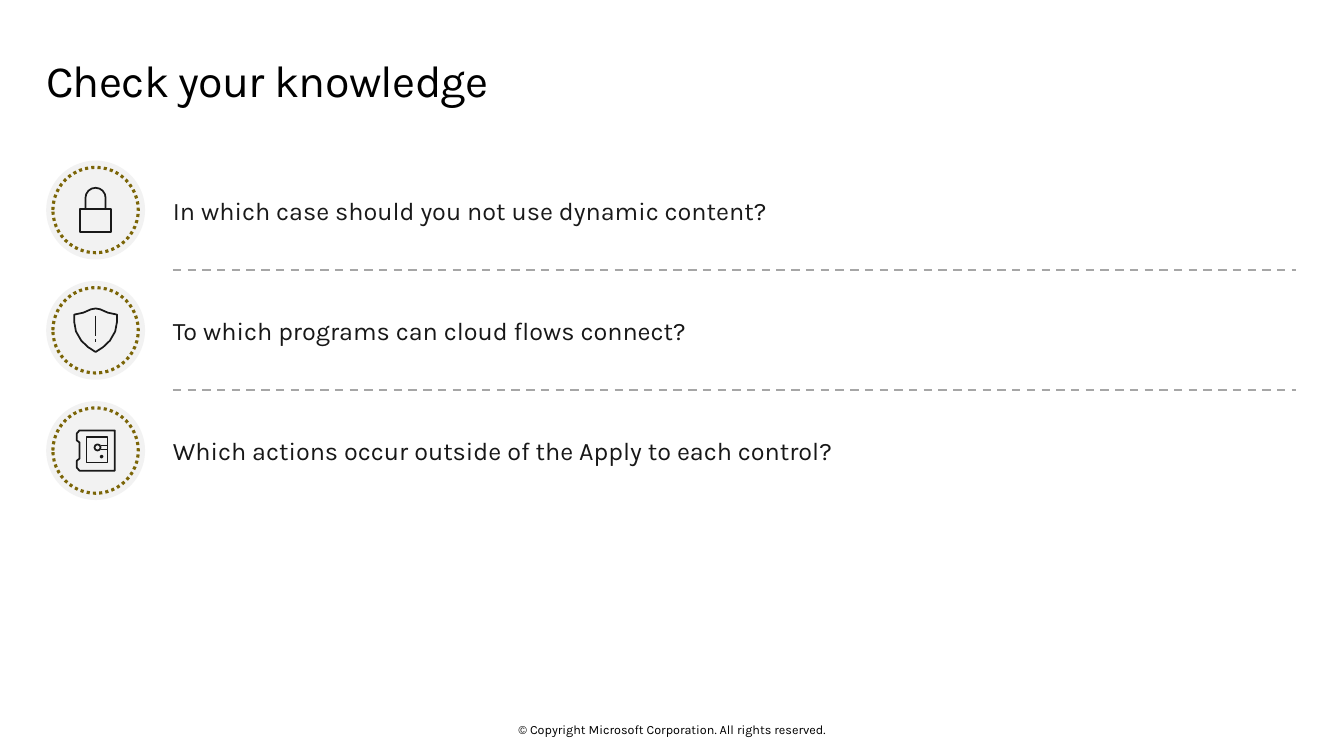
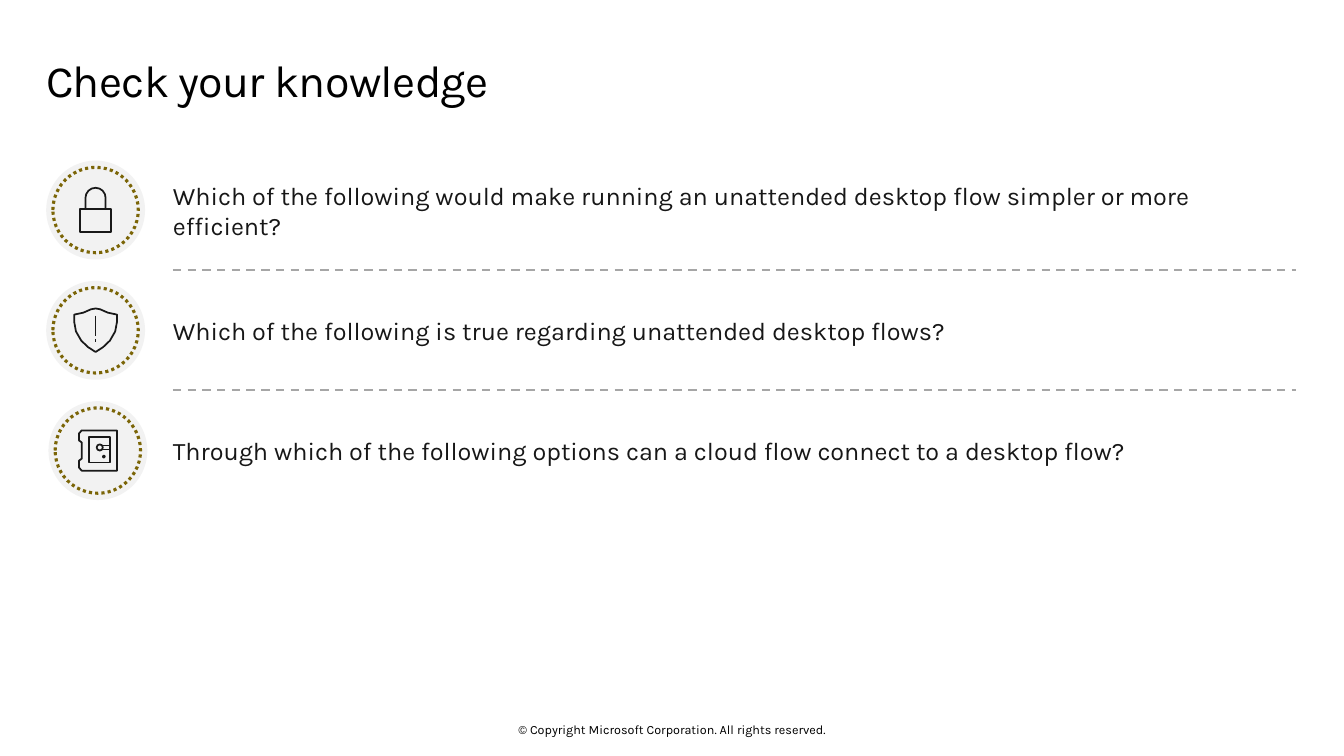
import math
import lxml.etree
import pptx
import pptx.dml.color
import pptx.enum.dml
import pptx.enum.shapes
import pptx.enum.text
import pptx.oxml.ns
import pptx.util

Pt = pptx.util.Pt
Dash = pptx.enum.dml.MSO_LINE
Align = pptx.enum.text.PP_ALIGN
Anchor = pptx.enum.text.MSO_ANCHOR
Oval = pptx.enum.shapes.MSO_SHAPE.OVAL
Line = pptx.enum.shapes.MSO_CONNECTOR.STRAIGHT

TOP, PITCH, DISC, RING = 114.75, 85.9, 70.6, 61
LEFT, TEXT, RIGHT = 33, 123.5, 926


def arc(x, y, r, start, end, steps):
    turns = [math.radians(start + (end - start) * i / steps) for i in range(steps + 1)]
    return [(x + r * math.cos(t), y + r * math.sin(t)) for t in turns]


def box(left, top, right, bottom):
    return [(left, top), (right, top), (right, bottom), (left, bottom)]


def lock():
    bow = [(-7.2, -0.8), *arc(0, -8.7, 7.2, 180, 360, 8), (7.2, -0.8)]
    return [(box(-11.2, -0.8, 11.2, 15.8), True), (bow, False)]


def shield():
    half = [(3.3, -15), (8.7, -12.6), (15.3, -11.2), (15.3, -6.2),
            (14, 0.8), (10.2, 7.4), (5.4, 12)]
    rest = [(-x, y) for x, y in reversed(half)]
    return [([(0, -15.6), *half, (0, 15.5), *rest], True),
            ([(0, -10.4), (0, 4)], False),
            ([(0, 6.2), (0, 8.4)], False)]


def safe():
    hinge = [(-11.5, 14.4), (-13.4, 12.2), (-13.4, 7.2), (-11.5, 5.8)]
    frame = [(13.7, -14.4), (13.7, 14.4), *hinge, *[(x, -y) for x, y in reversed(hinge)]]
    return [(frame, True),
            (box(-6.5, -9.4, 8.6, 8.6), True),
            (arc(1.4, -2.2, 2.2, 0, 315, 7), True),
            (arc(4.3, 4.3, 0.8, 0, 270, 3), True),
            ([(3.6, -3.6), (8.6, -3.6)], False),
            ([(3.6, -0.7), (8.6, -0.7)], False)]


class Deck:
    font = "Karla"
    hues = {"title": "000000", "ink": "191919", "body": "171717",
            "disc": "F2F2F2", "ring": "7B6507", "rule": "A6A6A6"}

    def __init__(self):
        self.file = pptx.Presentation()
        self.file.slide_width = Pt(960)
        self.file.slide_height = Pt(540)
        self.slide = None

    def hue(self, name):
        return pptx.dml.color.RGBColor.from_string(self.hues[name])

    def pen(self, line, hue, width, dash=None):
        line.color.rgb = self.hue(hue)
        line.width = Pt(width)
        if dash is not None:
            line.dash_style = dash

    def text(self, words, x, y, w, h, size, hue, anchor=Anchor.MIDDLE, pad=(0, 0, 0, 0)):
        frame = self.slide.shapes.add_textbox(Pt(x), Pt(y), Pt(w), Pt(h)).text_frame
        frame.word_wrap = True
        frame.vertical_anchor = anchor
        frame.margin_left, frame.margin_top, frame.margin_right, frame.margin_bottom = map(Pt, pad)
        frame.text = words
        para = frame.paragraphs[0]
        font = para.runs[0].font
        font.name, font.size, font.color.rgb = self.font, Pt(size), self.hue(hue)
        return para

    def title(self, words):
        para = self.text(words, LEFT, 34.6, 893, 53.3, 32, "title", Anchor.TOP, (0, 7.2, 11.5, 7.2))
        para.line_spacing = 0.9
        para.runs[0]._r.get_or_add_rPr().set("spc", "-50")

    def foot(self, words):
        self.text(words, 318, 515.5, 324, 10.8, 9, "title").alignment = Align.CENTER

    def rule(self, y):
        line = self.slide.shapes.add_connector(Line, Pt(TEXT), Pt(y), Pt(RIGHT), Pt(y))
        self.pen(line.line, "rule", 1.5, Dash.DASH)
        lxml.etree.SubElement(line._element.spPr, pptx.oxml.ns.qn("a:effectLst"))

    def oval(self, shapes, x, y, size):
        shape = shapes.add_shape(Oval, Pt(x - size / 2), Pt(y - size / 2), Pt(size), Pt(size))
        shape.shadow.inherit = False
        return shape

    def icon(self, x, y, draw):
        shapes = self.slide.shapes.add_group_shape().shapes
        disc = self.oval(shapes, x, y, DISC)
        disc.fill.solid()
        disc.fill.fore_color.rgb = self.hue("disc")
        disc.line.fill.background()
        ring = self.oval(shapes, x, y, RING)
        ring.fill.background()
        self.pen(ring.line, "ring", 2.25, Dash.ROUND_DOT)
        form = None
        for points, closed in draw():
            spots = [(Pt(x + dx), Pt(y + dy)) for dx, dy in points]
            if form is None:
                form = shapes.build_freeform(*spots[0])
            else:
                form.move_to(*spots[0])
            form.add_line_segments(spots[1:], close=closed)
        sign = form.convert_to_shape()
        sign.shadow.inherit = False
        sign.fill.background()
        self.pen(sign.line, "ink", 1.25)

    def quiz(self, asks, hues, shifts):
        self.slide = self.file.slides.add_slide(self.file.slide_layouts[6])
        for row in range(1, len(asks)):
            self.rule(TOP + row * PITCH - 7.8)
        self.foot("© Copyright Microsoft Corporation. All rights reserved.")
        self.title("Check your knowledge")
        rows = zip(asks, hues, shifts, (lock, shield, safe))
        for row, (ask, hue, shift, draw) in enumerate(rows):
            y = TOP + row * PITCH
            self.text(ask, TEXT, y, 803.5, DISC, 18, hue)
            self.icon(LEFT + DISC / 2 + shift, y + DISC / 2, draw)


def main():
    deck = Deck()
    deck.quiz(["In which case should you not use dynamic content?",
               "To which programs can cloud flows connect?",
               "Which actions occur outside of the Apply to each control?"],
              ["ink", "body", "body"], [0, 0, 0])
    deck.quiz(["Which of the following would make running an unattended desktop flow "
               "simpler or more efficient?",
               "Which of the following is true regarding unattended desktop flows?",
               "Through which of the following options can a cloud flow connect to a desktop flow?"],
              ["body"] * 3, [0, 0, 1.6])
    deck.file.save("out.pptx")


if __name__ == "__main__":
    main()
